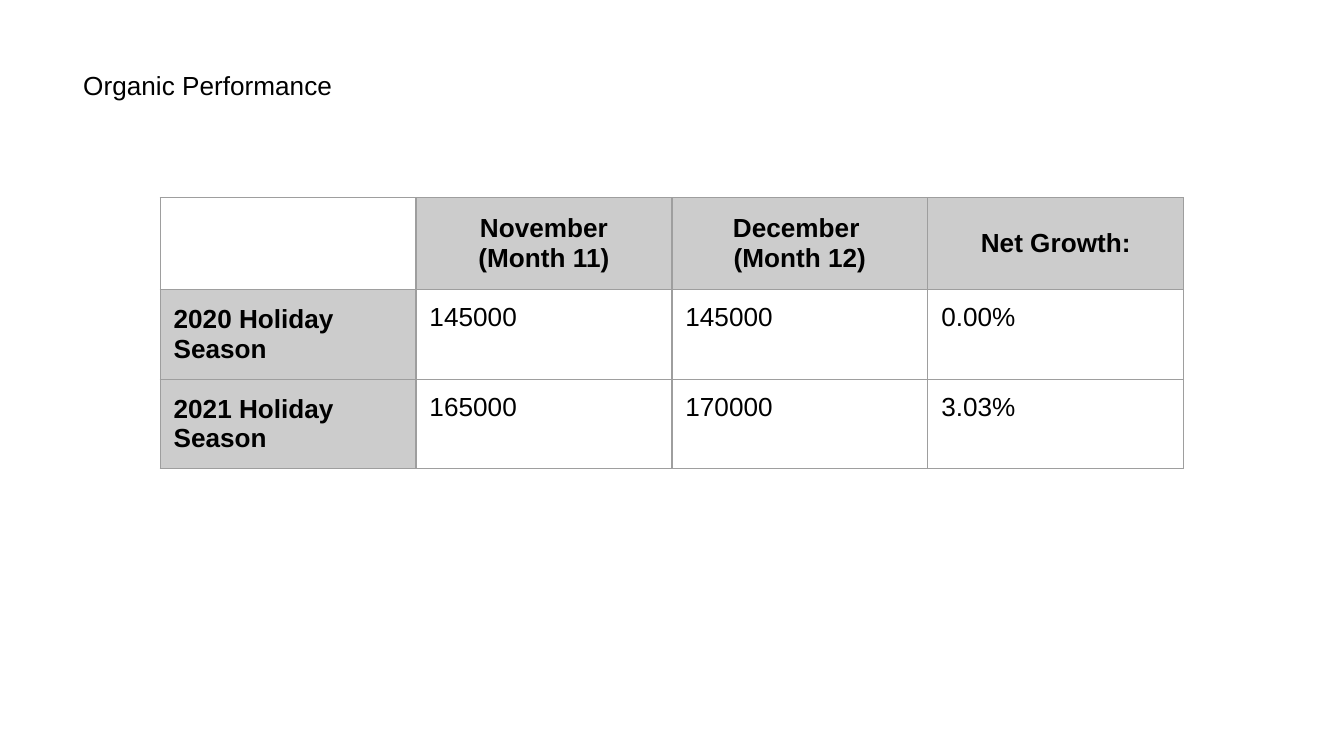
from dataclasses import dataclass

from lxml import etree
from pptx import Presentation
from pptx.dml.color import RGBColor
from pptx.enum import text
from pptx.oxml import ns
from pptx.util import Pt

HUES = {"ink": "000000", "head": "CCCCCC", "rule": "9E9E9E"}
FONT = {"name": "Arial", "size": Pt(14)}
PAD = {f"margin_{side}": Pt(7.2) for side in ("left", "right", "top", "bottom")}
LEFT, TOP, WIDE = 85.8, 105.9, 137.1
HIGH = (49.2, 48, 48)


@dataclass
class Entry:
    words: str
    head: bool = False
    align: text.PP_ALIGN = text.PP_ALIGN.LEFT


def heads(*words: str) -> list[Entry]:
    return [Entry(w, bool(w), text.PP_ALIGN.CENTER) for w in words]


def season(name: str, *values: str) -> list[Entry]:
    return [Entry(name, True), *map(Entry, values)]


ROWS = [
    heads("", "November\n(Month 11)", "December \n(Month 12)", "Net Growth:"),
    season("2020 Holiday Season", "145000", "145000", "0.00%"),
    season("2021 Holiday Season", "165000", "170000", "3.03%"),
]


def apply(item, values: dict) -> None:
    for key, value in values.items():
        setattr(item, key, value)


def style(frame, bold: bool, align: text.PP_ALIGN) -> None:
    for para in frame.paragraphs:
        para.alignment = align
        apply(para.font, FONT | {"bold": bold})
        para.font.color.rgb = RGBColor.from_string(HUES["ink"])


def edge(cell) -> None:
    """Rule all four sides; borders must precede the fill in the cell XML."""
    props = cell._tc.get_or_add_tcPr()
    for spot, tag in enumerate(("a:lnL", "a:lnR", "a:lnT", "a:lnB")):
        line = etree.Element(ns.qn(tag), w=str(Pt(0.75)))
        fill = etree.SubElement(line, ns.qn("a:solidFill"))
        etree.SubElement(fill, ns.qn("a:srgbClr"), val=HUES["rule"])
        props.insert(spot, line)


def draw(cell, entry: Entry) -> None:
    cell.text = entry.words
    apply(cell, PAD)
    cell.vertical_anchor = (
        text.MSO_ANCHOR.MIDDLE if entry.head else text.MSO_ANCHOR.TOP
    )
    style(cell.text_frame, entry.head, entry.align)
    if entry.head:
        cell.fill.solid()
        cell.fill.fore_color.rgb = RGBColor.from_string(HUES["head"])
    else:
        cell.fill.background()
    edge(cell)


def grid(slide) -> None:
    cols = len(ROWS[0])
    table = slide.shapes.add_table(
        len(ROWS), cols, Pt(LEFT), Pt(TOP), Pt(WIDE * cols), Pt(sum(HIGH))
    ).table
    apply(table, {"first_row": False, "horz_banding": False})
    for col in table.columns:
        col.width = Pt(WIDE)
    for r, (row, high) in enumerate(zip(ROWS, HIGH)):
        table.rows[r].height = Pt(high)
        for c, entry in enumerate(row):
            draw(table.cell(r, c), entry)


def title(slide, words: str) -> None:
    shape = slide.shapes.title
    apply(shape, {"left": Pt(37.4), "top": Pt(30.2),
                  "width": Pt(374.4), "height": Pt(31.7)})
    frame = shape.text_frame
    frame.text = words
    apply(frame, PAD | {
        "word_wrap": True,
        "vertical_anchor": text.MSO_ANCHOR.TOP,
        "auto_size": text.MSO_AUTO_SIZE.SHAPE_TO_FIT_TEXT,
    })
    style(frame, False, text.PP_ALIGN.LEFT)


def main() -> None:
    deck = Presentation()
    apply(deck, {"slide_width": Pt(720), "slide_height": Pt(405)})
    slide = deck.slides.add_slide(deck.slide_layouts.get_by_name("Title Only"))
    grid(slide)
    title(slide, "Organic Performance")
    deck.save("out.pptx")


if __name__ == "__main__":
    main()
